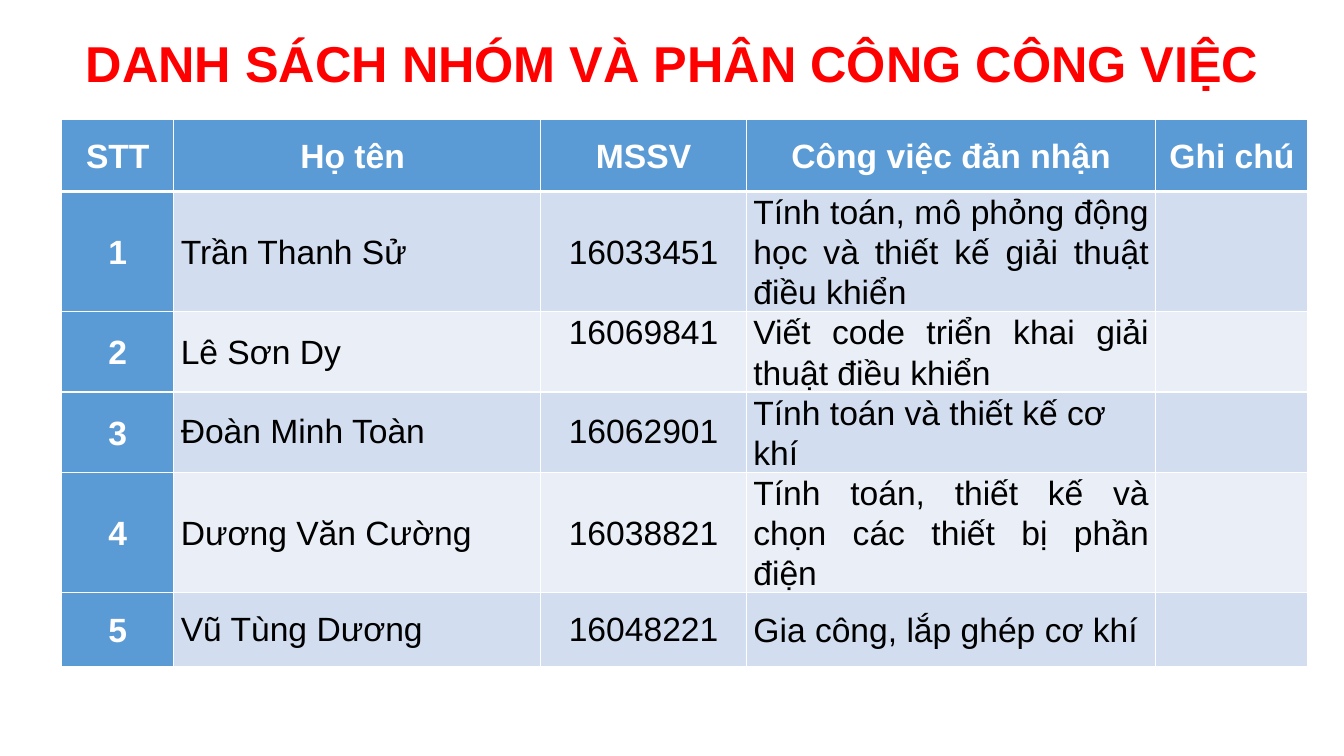
"""Build the slide listing the group members and their assigned work."""
from dataclasses import dataclass

from lxml import etree
from pptx import Presentation
from pptx import util as u
from pptx.dml import color
from pptx.enum import text
from pptx.oxml import ns

SLIDE_WIDTH, SLIDE_HEIGHT = u.Inches(13.33), u.Inches(7.5)
FONT = "Arial"
COLORS = {
    "title": "FF0000",
    "accent": "5B9BD5",
    "odd": "D2DEEF",
    "even": "EAEFF7",
    "white": "FFFFFF",
    "body": "000000",
}
LEFT, CENTER, JUSTIFY = text.PP_ALIGN.LEFT, text.PP_ALIGN.CENTER, text.PP_ALIGN.JUSTIFY
TOP, MIDDLE = text.MSO_ANCHOR.TOP, text.MSO_ANCHOR.MIDDLE
LOOSE = 1.07
COLUMN_SHARES = (8.33, 27.31, 15.3, 30.46, 11.33)
ROW_SHARES = (9.6, 9.6, 7.87, 9.73, 9.73, 9.73)
HEADINGS = ("STT", "Họ tên ", "MSSV", "Công việc đản nhận", "Ghi chú")


@dataclass(frozen=True)
class Member:
    """One group member with the layout of their row."""

    name: str
    code: str
    task: str
    task_align: text.PP_ALIGN = JUSTIFY
    spacing: float = LOOSE
    code_anchor: text.MSO_ANCHOR = MIDDLE


@dataclass(frozen=True)
class Entry:
    """Content and look of one table cell."""

    content: str
    fill: str
    ink: str = "body"
    align: text.PP_ALIGN = CENTER
    spacing: float = LOOSE
    anchor: text.MSO_ANCHOR = MIDDLE
    bottom_width: int = 1


MEMBERS = (
    Member("Trần Thanh Sử", "16033451",
           "Tính toán, mô phỏng động học và thiết kế giải thuật điều khiển"),
    Member("Lê Sơn Dy", "16069841", "Viết code triển khai giải thuật điều khiển",
           code_anchor=TOP),
    Member("Đoàn Minh Toàn", "16062901", "Tính toán và thiết kế cơ khí",
           task_align=LEFT, spacing=1.0),
    Member("Dương Văn Cường", "16038821",
           "Tính toán, thiết kế và chọn các thiết bị phần điện"),
    Member("Vũ Tùng Dương", "16048221", "Gia công, lắp ghép cơ khí", spacing=1.0),
)


def across(share: float) -> u.Emu:
    """Turn a percentage of the slide width into a length."""
    return u.Emu(round(SLIDE_WIDTH * share / 100))


def down(share: float) -> u.Emu:
    """Turn a percentage of the slide height into a length."""
    return u.Emu(round(SLIDE_HEIGHT * share / 100))


def write(paragraph, content: str, size: int, ink: str, bold: bool, align) -> None:
    """Fill a paragraph with text in a single style."""
    paragraph.text = content
    paragraph.alignment = align
    font = paragraph.font
    font.name, font.size, font.bold = FONT, u.Pt(size), bold
    font.color.rgb = color.RGBColor.from_string(COLORS[ink])


def add_border(cell, side: str, width: int) -> None:
    """Draw a white line on one side of a cell."""
    properties = cell._tc.get_or_add_tcPr()
    line = etree.SubElement(properties, ns.qn(f"a:ln{side}"), w=str(u.Pt(width)))
    fill = etree.SubElement(line, ns.qn("a:solidFill"))
    etree.SubElement(fill, ns.qn("a:srgbClr"), val=COLORS["white"])


def draw_entry(cell, entry: Entry) -> None:
    """Style one cell and write its text."""
    cell.margin_left = cell.margin_right = u.Inches(0.07)
    cell.margin_top = cell.margin_bottom = 0
    cell.vertical_anchor = entry.anchor
    for side in "LRTB":
        add_border(cell, side, entry.bottom_width if side == "B" else 1)
    cell.fill.solid()
    cell.fill.fore_color.rgb = color.RGBColor.from_string(COLORS[entry.fill])
    paragraph = cell.text_frame.paragraphs[0]
    write(paragraph, entry.content, 24, entry.ink, entry.ink == "white", entry.align)
    paragraph.line_spacing = entry.spacing


def member_entries(number: int, member: Member) -> list[Entry]:
    """List the cells of one member's row."""
    band = "odd" if number % 2 else "even"
    return [
        Entry(str(number), "accent", "white"),
        Entry(member.name, band, align=LEFT, spacing=member.spacing),
        Entry(member.code, band, spacing=member.spacing, anchor=member.code_anchor),
        Entry(member.task, band, align=member.task_align),
        Entry("", band),
    ]


def add_title(page) -> None:
    """Place the slide heading."""
    box = page.shapes.add_textbox(across(5.25), down(3.6), across(89.57), down(9.47))
    box.text_frame.word_wrap = True
    write(box.text_frame.paragraphs[0], "DANH SÁCH NHÓM VÀ PHÂN CÔNG CÔNG VIỆC",
          36, "title", True, CENTER)


def add_assignments(page) -> None:
    """Place the table of members and tasks."""
    rows = [[Entry(heading, "accent", "white", bottom_width=3) for heading in HEADINGS]]
    rows += [member_entries(number, member) for number, member in enumerate(MEMBERS, 1)]
    table = page.shapes.add_table(
        len(rows), len(HEADINGS), across(4.6), down(15.75),
        across(sum(COLUMN_SHARES)), down(sum(ROW_SHARES)),
    ).table
    for column, share in zip(table.columns, COLUMN_SHARES):
        column.width = across(share)
    for row, share, entries in zip(table.rows, ROW_SHARES, rows):
        row.height = down(share)
        for cell, entry in zip(row.cells, entries):
            draw_entry(cell, entry)


def main() -> None:
    """Build and save the deck."""
    deck = Presentation()
    deck.slide_width, deck.slide_height = SLIDE_WIDTH, SLIDE_HEIGHT
    page = deck.slides.add_slide(deck.slide_layouts[6])
    add_assignments(page)
    add_title(page)
    deck.save("out.pptx")


if __name__ == "__main__":
    main()
